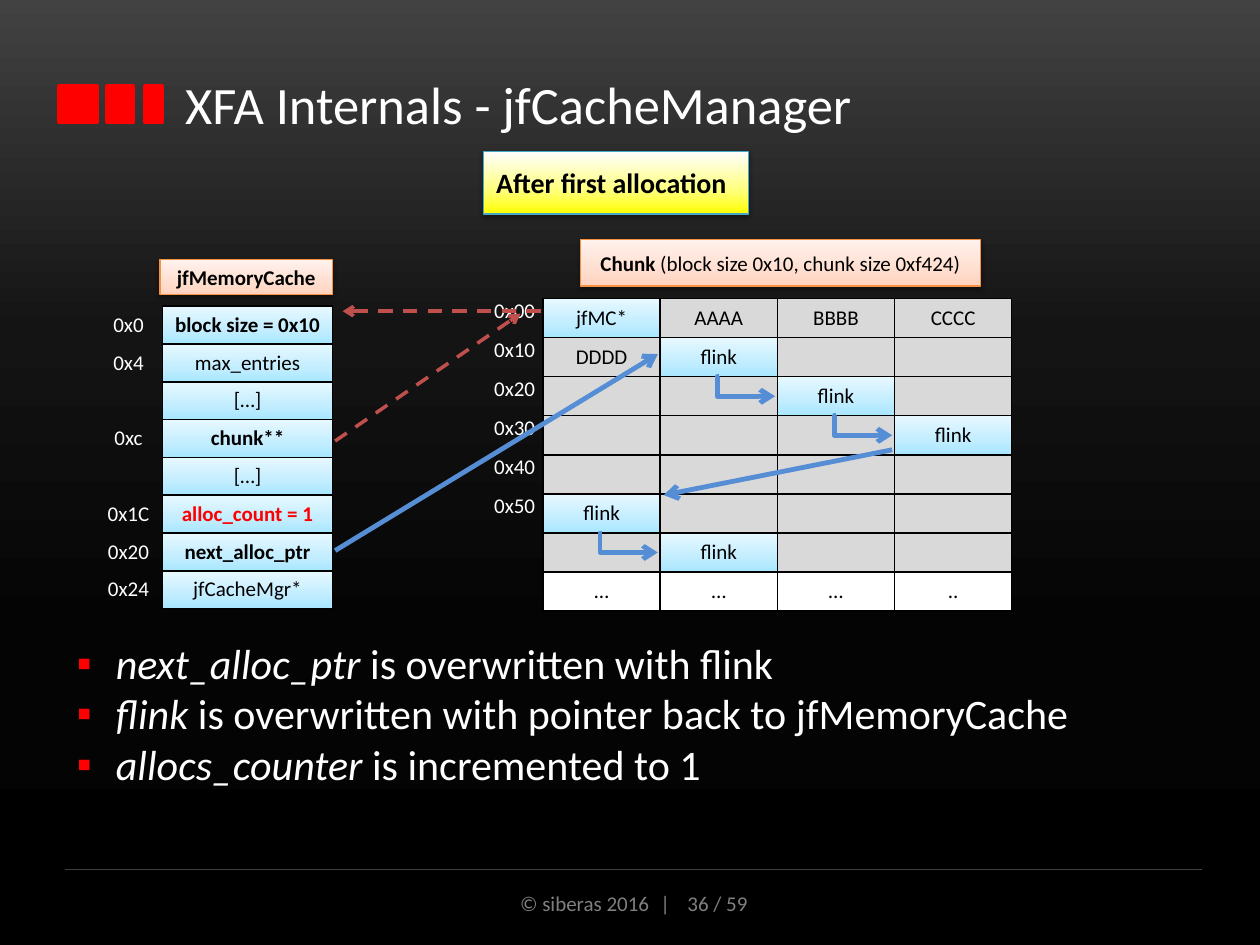
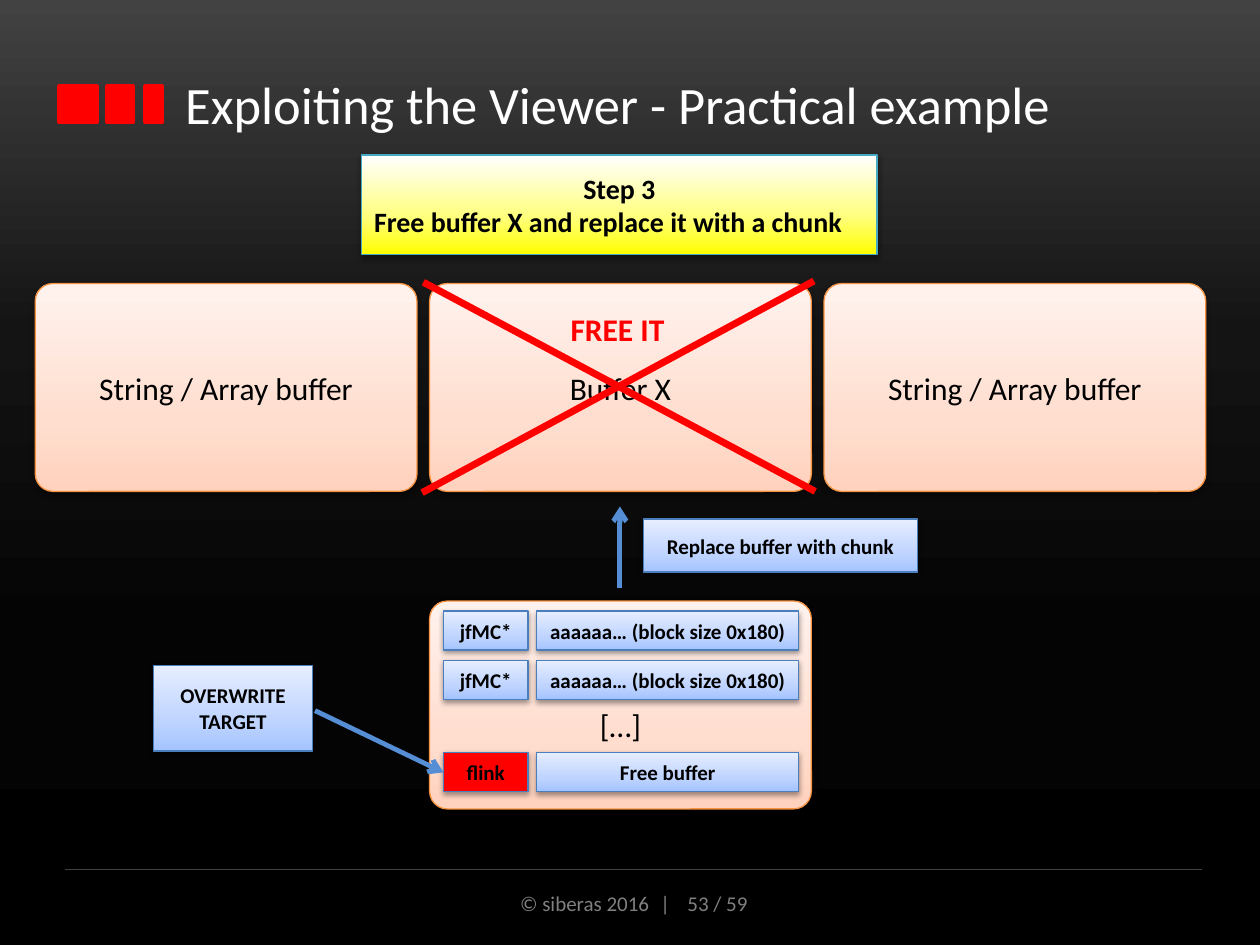
import dataclasses
import pptx
import pptx.dml.color
import pptx.enum.dml
import pptx.enum.shapes
import pptx.enum.text
import pptx.oxml.ns
import pptx.util
from lxml import etree

inch = pptx.util.Inches
qn = pptx.oxml.ns.qn
Shape = pptx.enum.shapes.MSO_SHAPE
Link = pptx.enum.shapes.MSO_CONNECTOR
Align = pptx.enum.text.PP_ALIGN
Anchor = pptx.enum.text.MSO_ANCHOR


@dataclasses.dataclass(frozen=True)
class Theme:
    font: str = "Calibri"
    title: int = 30
    list: int = 24
    box: int = 18
    banner: int = 16
    small: int = 12
    black: str = "000000"
    white: str = "FFFFFF"
    red: str = "FF0000"
    blue: str = "558ED5"
    brick: str = "C0504D"
    gray: str = "D9D9D9"
    foot: str = "808080"
    rule: str = "404040"
    back: tuple = ((0, "424242"), (35, "141414"), (67, "040404"), (100, "000000"))
    sky: tuple = ((0, "A7E6FF"), (35, "C1EDFF"), (100, "E7F8FF"))
    peach: tuple = ((0, "FFD2BD"), (35, "FFDED0"), (100, "FFF2ED"))
    lemon: tuple = ((0, "FFFF00"), (39, "FFFF80"), (100, "FFFFFF"))
    steel: tuple = ((0, "A4C4FF"), (35, "BFD4FF"), (100, "E6EEFF"))


T = Theme()
EDGE = {T.peach: "F69240", T.lemon: "46AAC5", T.steel: "4B7EBC", T.red: "4B7EBC"}

# Content
PAGES = 59
BARS = [(0.47, 0.3), (0.85, 0.21), (1.15, 0.14)]

CACHE = [
    ("0x0", "block size = 0x10"),
    ("0x4", "max_entries"),
    ("", "[…]"),
    ("0xc", "chunk**"),
    ("", "[…]"),
    ("0x1C", "alloc_count = 1"),
    ("0x20", "next_alloc_ptr"),
    ("0x24", "jfCacheMgr*"),
]
STRONG = {"block size = 0x10", "chunk**", "alloc_count = 1", "next_alloc_ptr"}
CHUNK = [
    ("0x00", "jfMC*", "AAAA", "BBBB", "CCCC"),
    ("0x10", "DDDD", "flink", "", ""),
    ("0x20", "", "", "flink", ""),
    ("0x30", "", "", "", "flink"),
    ("0x40", "", "", "", ""),
    ("0x50", "flink", "", "", ""),
    ("", "", "flink", "", ""),
    ("", "…", "…", "…", ".."),
]
STEPS = [(1, 1), (2, 2), (0, 5)]  # column and row of each flink that steps down
FACTS = [
    ("next_alloc_ptr ", "is overwritten with flink"),
    ("flink ", "is overwritten with pointer back to jfMemoryCache"),
    ("allocs_counter ", "is incremented to 1"),
]

BUFFERS = ["String / Array buffer", "Buffer X", "String / Array buffer"]
BLOCKS = [
    (4.85, "jfMC*", "aaaaaa… (block size 0x180)", T.steel),
    (5.24, "jfMC*", "aaaaaa… (block size 0x180)", T.steel),
    (5.97, "flink", "Free buffer", T.red),
]


# Drawing
def rgb(code):
    return pptx.dml.color.RGBColor.from_string(code)


def paint(fill, holder, look, angle=90):
    """Fill with one colour, or with the stops of a gradient."""
    if isinstance(look, str):
        fill.solid()
        fill.fore_color.rgb = rgb(look)
        return
    fill.gradient()
    fill.gradient_angle = angle
    stops = holder.find(".//" + qn("a:gsLst"))
    for stop in list(stops):
        stops.remove(stop)
    for place, code in look:
        stop = etree.SubElement(stops, qn("a:gs"), pos=str(place * 1000))
        etree.SubElement(stop, qn("a:srgbClr"), val=code)


def style(para, size, color, bold=False, align=Align.CENTER):
    para.alignment = align
    font = para.font
    font.name, font.size, font.bold = T.font, pptx.util.Pt(size), bold
    font.color.rgb = rgb(color)


def lead(para, head, rest, trait):
    """Add two runs, the first of them bold or italic."""
    run = para.add_run()
    run.text = head
    setattr(run.font, trait, True)
    para.add_run().text = rest


def pad(frame, side, top=0.05):
    frame.word_wrap = True
    frame.margin_left = frame.margin_right = inch(side)
    frame.margin_top, frame.margin_bottom = inch(top), inch(0.05)


def box(slide, at, text, look, size=T.small, bold=True, top=0.05, side=0.05, round=False):
    kind = Shape.ROUNDED_RECTANGLE if round else Shape.RECTANGLE
    shape = slide.shapes.add_shape(kind, *map(inch, at))
    if round:
        shape.adjustments[0] = 0.085
    paint(shape.fill, shape.element, look)
    shape.line.color.rgb = rgb(EDGE[look])
    shape.line.width = pptx.util.Pt(0.75)
    shape.shadow.inherit = False
    glow = etree.SubElement(
        shape.element.spPr.find(qn("a:effectLst")), qn("a:outerShdw"),
        blurRad="40000", dist="20000", dir="5400000", rotWithShape="0")
    tint = etree.SubElement(glow, qn("a:srgbClr"), val=T.black)
    etree.SubElement(tint, qn("a:alpha"), val="38000")
    frame = shape.text_frame
    frame.vertical_anchor = Anchor.MIDDLE
    pad(frame, side, top)
    frame.text = text
    for para in frame.paragraphs:
        style(para, size, T.black, bold)
    return shape


def label(slide, at, size, color, bold=False, align=Align.CENTER):
    frame = slide.shapes.add_textbox(*map(inch, at)).text_frame
    pad(frame, 0.1)
    para = frame.paragraphs[0]
    style(para, size, color, bold, align)
    return para


def line(slide, start, end, color=T.blue, width=2.75, arrow=True, dash=False, bend=False):
    kind = Link.ELBOW if bend else Link.STRAIGHT
    link = slide.shapes.add_connector(kind, *map(inch, start + end))
    link.line.color.rgb = rgb(color)
    link.line.width = pptx.util.Pt(width)
    if dash:
        link.line.dash_style = pptx.enum.dml.MSO_LINE.DASH
    props = link.element.spPr
    if arrow:
        etree.SubElement(props.find(qn("a:ln")), qn("a:tailEnd"), type="arrow")
    if bend:
        geom = props.find(qn("a:prstGeom"))
        marks = geom.find(qn("a:avLst"))
        if marks is None:
            marks = etree.SubElement(geom, qn("a:avLst"))
        etree.SubElement(marks, qn("a:gd"), name="adj1", fmla="val -2800")
    etree.SubElement(props, qn("a:effectLst"))


def frame_cell(cell):
    props = cell._tc.get_or_add_tcPr()
    for side in ("lnL", "lnR", "lnT", "lnB"):
        edge = etree.SubElement(props, qn("a:" + side), w="12700")
        fill = etree.SubElement(edge, qn("a:solidFill"))
        etree.SubElement(fill, qn("a:srgbClr"), val=T.black)


def grid(slide, left, top, widths, step, rows, look, anchor):
    """Table whose first column holds bare offsets; look(text) fills the others."""
    size = (sum(widths), step * len(rows))
    table = slide.shapes.add_table(
        len(rows), len(widths), *map(inch, (left, top) + size)).table
    table.first_row = table.horz_banding = False
    plain = "{2D5ABB26-0587-4C30-8999-92F81FD0307C}"
    table._tbl.tblPr.find(qn("a:tableStyleId")).text = plain
    for col, width in zip(table.columns, widths):
        col.width = inch(width)
    for r, row in enumerate(rows):
        table.rows[r].height = inch(step)
        for c, text in enumerate(row):
            cell = table.cell(r, c)
            cell.margin_left = cell.margin_right = 0
            cell.margin_top = cell.margin_bottom = 0
            cell.text = text
            cell.vertical_anchor = Anchor.MIDDLE if c else anchor
            color = T.black if c else T.white
            if text.startswith("alloc_count"):
                color = T.red
            style(cell.text_frame.paragraphs[0], T.small, color, text in STRONG)
            if c:
                frame_cell(cell)
                paint(cell.fill, cell._tc, look(text))
            else:
                cell.fill.background()


def begin(deck, layout, title, page):
    """Add a slide with its title, red bars and footer."""
    slide = deck.slides.add_slide(deck.slide_layouts[layout])
    for left, width in BARS:
        bar = slide.shapes.add_shape(
            Shape.RECTANGLE, *map(inch, (left, 0.68, width, 0.29)))
        bar.shadow.inherit = False
        paint(bar.fill, bar.element, T.red)
        bar.line.color.rgb = rgb(T.red)
        bar.line.width = pptx.util.Pt(2)
    line(slide, (0.52, 6.9), (9.54, 6.9), T.rule, 0.75, arrow=False)
    foot = label(slide, (3.37, 7.02, 3.32, 0.3), T.small, T.foot)
    for text in ("© siberas 2016", " | ", f"{page} / {PAGES}"):
        run = foot.add_run()
        run.text = text
        if text == " | ":
            run.font._element.set("spc", "360")
    head = slide.shapes.title
    place(head, (1.37, 0.39, 8.12, 0.87))
    head.text_frame.text = title
    head.text_frame.vertical_anchor = Anchor.MIDDLE
    style(head.text_frame.paragraphs[0], T.title, T.white, align=Align.LEFT)
    return slide


def place(shape, at):
    shape.left, shape.top, shape.width, shape.height = map(inch, at)


def bullets(shape, at, items):
    place(shape, at)
    frame = shape.text_frame
    frame.auto_size = pptx.enum.text.MSO_AUTO_SIZE.NONE
    for n, (head, rest) in enumerate(items):
        para = frame.add_paragraph() if n else frame.paragraphs[0]
        lead(para, head, rest, "italic")
        para.space_before = 0
        props = para._p.get_or_add_pPr()
        props.set("marL", str(inch(0.31)))
        props.set("indent", str(-inch(0.31)))
        tint = etree.SubElement(props, qn("a:buClr"))
        etree.SubElement(tint, qn("a:srgbClr"), val=T.red)
        etree.SubElement(props, qn("a:buChar"), char="▪")
        style(para, T.list, T.white, align=Align.LEFT)


def cache_slide(deck):
    slide = begin(deck, 1, "XFA Internals - jfCacheManager", 36)
    note = box(slide, (3.84, 1.2, 2.1, 0.5), "After first allocation",
               T.lemon, T.banner, side=0.1)
    note.text_frame.paragraphs[0].alignment = Align.LEFT

    grid(slide, 0.75, 2.43, (0.54, 1.35), 0.3, CACHE, lambda text: T.sky, Anchor.MIDDLE)
    box(slide, (1.27, 2.06, 1.37, 0.28), "jfMemoryCache", T.peach)

    left, top, wide, step = 4.31, 2.37, 0.93, 0.31
    looks = {"flink": T.sky, "jfMC*": T.sky, "…": T.white, "..": T.white}
    grid(slide, left - 0.45, top, (0.45,) + (wide,) * 4, step, CHUNK,
         lambda text: looks.get(text, T.gray), Anchor.TOP)
    head = box(slide, (4.61, 1.9, 3.17, 0.37), "", T.peach, bold=False)
    lead(head.text_frame.paragraphs[0], "Chunk ",
         "(block size 0x10, chunk size 0xf424)", "bold")

    def spot(col, row):
        return left + col * wide, top + row * step

    for col, row in STEPS:
        line(slide, spot(col + 0.5, row + 1), spot(col + 0.98, row + 1.5), bend=True)
    line(slide, spot(2.98, 3.87), spot(1.03, 5.03))
    line(slide, (2.66, 4.37), spot(0.98, 1.42))
    line(slide, (2.66, 3.5), (4.13, 2.49), T.brick, 2, dash=True)
    line(slide, (4.29, 2.47), (2.72, 2.47), T.brick, 2, dash=True)
    bullets(slide.placeholders[1], (0.51, 5.01, 8.98, 1.31), FACTS)


def chunk_slide(deck):
    slide = begin(deck, 5, "Exploiting the Viewer - Practical example", 53)
    note = box(slide, (2.87, 1.23, 4.09, 0.79),
               "Step 3\nFree buffer X and replace it with a chunk",
               T.lemon, T.banner, side=0.1)
    note.text_frame.paragraphs[1].alignment = Align.LEFT

    wide, tall, gap = 3.03, 1.65, 0.1
    lefts = [0.28 + n * (wide + gap) for n in range(len(BUFFERS))]
    for left, text in zip(lefts, BUFFERS):
        box(slide, (left, 2.25, wide, tall), text, T.peach, T.box, False, round=True)
    for start, end in (((6.46, 2.23), (3.35, 3.91)), ((6.47, 3.9), (3.36, 2.24))):
        line(slide, start, end, T.red, 4, arrow=False)
    free = label(slide, (4.43, 2.41, 0.97, 0.4), T.box, T.red, True, Align.LEFT)
    free.add_run().text = "FREE IT"

    line(slide, (4.92, 4.67), (4.92, 4.02))
    box(slide, (5.11, 4.12, 2.17, 0.42), "Replace buffer with chunk", T.steel)
    box(slide, (lefts[1], 4.77, wide, tall), "[…]", T.peach, T.box, False,
        top=0.36, round=True)
    for top, mark, text, look in BLOCKS:
        box(slide, (3.52, top, 0.67, 0.31), mark, look)
        box(slide, (4.26, top, 2.08, 0.31), text, T.steel)
    box(slide, (1.22, 5.28, 1.26, 0.68), "OVERWRITE TARGET", T.steel)
    line(slide, (2.5, 5.64), (3.52, 6.13))


def main():
    deck = pptx.Presentation()
    deck.slide_width, deck.slide_height = inch(10), inch(7.5)
    master = deck.slide_master
    paint(master.background.fill, master.element, T.back, 270)
    cache_slide(deck)
    chunk_slide(deck)
    deck.save("out.pptx")


if __name__ == "__main__":
    main()
